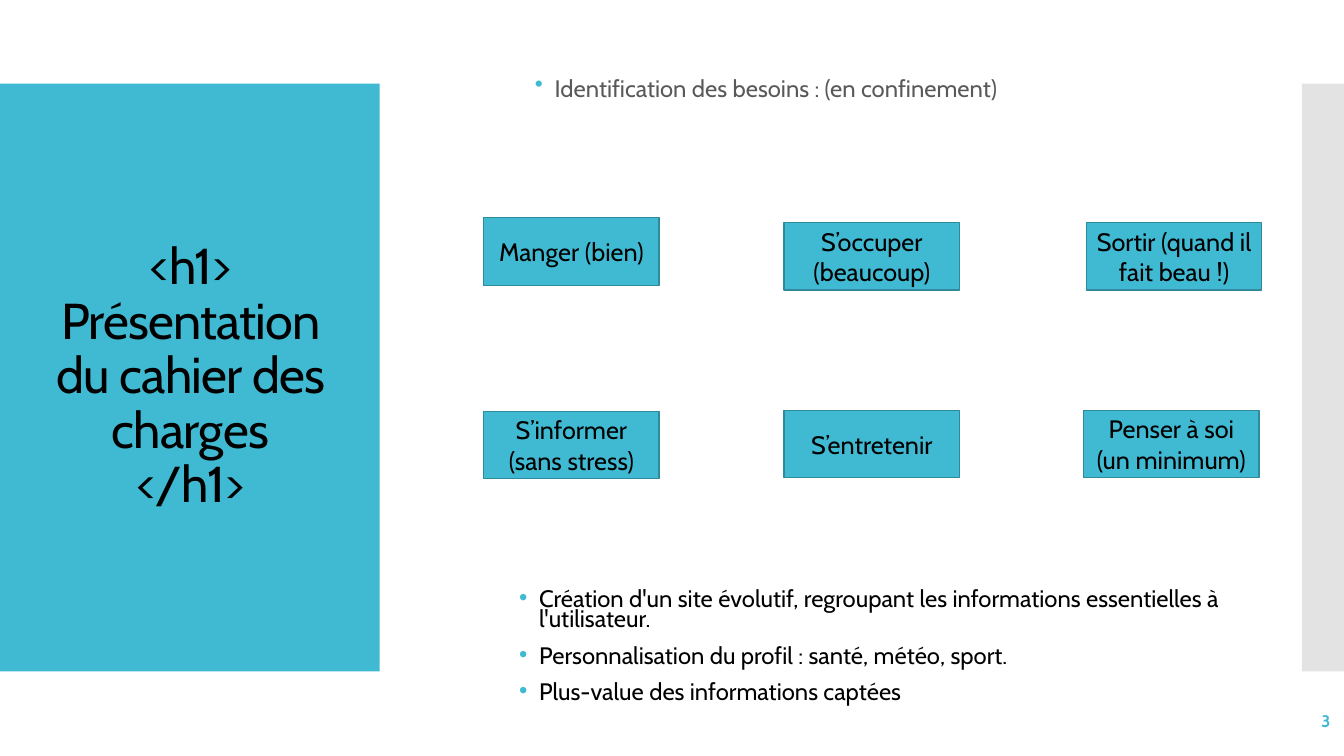
from lxml import etree
from pptx import Presentation
from pptx.dml.color import RGBColor
from pptx.enum.shapes import MSO_SHAPE
from pptx.enum.text import MSO_ANCHOR, MSO_AUTO_SIZE, PP_ALIGN
from pptx.oxml.ns import qn
from pptx.util import Cm, Pt

RECTANGLE = MSO_SHAPE.RECTANGLE
MIDDLE = MSO_ANCHOR.MIDDLE
NO_AUTOFIT = MSO_AUTO_SIZE.NONE
CENTER, LEFT, RIGHT = PP_ALIGN.CENTER, PP_ALIGN.LEFT, PP_ALIGN.RIGHT

FONT = "Cabin"
TEAL, TEAL_DARK = "40BAD2", "2F8A9B"
BLACK, GREY, SILVER = "000000", "595959", "C8C8C8"

NEED_WIDTH, NEED_HEIGHT = 4.42, 1.7
NEEDS = [
    ("Manger (bien)", 12.19, 5.49),
    ("S’occuper (beaucoup)", 19.76, 5.61),
    ("Sortir (quand il fait beau !)", 27.38, 5.61),
    ("S’informer (sans stress)", 12.19, 10.36),
    ("S’entretenir", 19.76, 10.34),
    ("Penser à soi (un minimum)", 27.31, 10.34),
]
GOALS = [
    "Création d'un site évolutif, regroupant les informations essentielles à l'utilisateur.",
    "Personnalisation du profil : santé, météo, sport.",
    "Plus-value des informations captées",
]


def rgb(color):
    return RGBColor.from_string(color)


def place(shape, left, top, width, height):
    shape.left, shape.top = Cm(left), Cm(top)
    shape.width, shape.height = Cm(width), Cm(height)


def set_frame(frame):
    frame.word_wrap = True
    frame.auto_size = NO_AUTOFIT
    frame.vertical_anchor = MIDDLE


def style_runs(paragraph, size, color):
    for run in paragraph.runs:
        run.font.name = FONT
        run.font.size = Pt(size)
        run.font.color.rgb = rgb(color)


def add_block(slide, left, top, width, height, fill):
    block = slide.shapes.add_shape(RECTANGLE, Cm(left), Cm(top), Cm(width), Cm(height))
    block.shadow.inherit = False
    block.fill.solid()
    block.fill.fore_color.rgb = rgb(fill)
    block.line.fill.background()
    return block


def add_side_panels(slide, top, height):
    add_block(slide, 0, top, 9.57, height, TEAL)
    strip = add_block(slide, 32.81, top, 1.06, height, SILVER)
    fill_color = strip.fill._xPr.find(qn("a:solidFill"))[0]
    etree.SubElement(fill_color, qn("a:alpha"), val="50000")


def fill_title(slide, left, top, width, height):
    title = slide.shapes.title
    slide.shapes._spTree.append(title._element)  # in front of the panel
    place(title, left, top, width, height)
    set_frame(title.text_frame)
    paragraph = title.text_frame.paragraphs[0]
    paragraph.text = "<h1> Présentation du cahier des charges\v</h1>"
    paragraph.alignment = CENTER
    paragraph.line_spacing = 0.9
    style_runs(paragraph, 36, BLACK)
    for run in paragraph.runs:
        run._r.get_or_add_rPr().set("spc", "-60")


def add_need(slide, label, left, top):
    need = add_block(slide, left, top, NEED_WIDTH, NEED_HEIGHT, TEAL)
    need.line.color.rgb = rgb(TEAL_DARK)
    need.line.width = Pt(0.85)
    frame = need.text_frame
    set_frame(frame)
    frame.margin_left = frame.margin_right = Cm(0.22)
    paragraph = frame.paragraphs[0]
    paragraph.text = label
    paragraph.alignment = CENTER
    style_runs(paragraph, 18, BLACK)


def fill_bullets(frame, items, color):
    set_frame(frame)
    frame.margin_top = Cm(0.56)
    for index, item in enumerate(items):
        paragraph = frame.add_paragraph() if index else frame.paragraphs[0]
        paragraph.text = item
        properties = paragraph._p.get_or_add_pPr()
        properties.set("marL", str(Cm(0.5)))
        properties.set("indent", str(-Cm(0.5)))
        bullet_color = etree.SubElement(properties, qn("a:buClr"))
        etree.SubElement(bullet_color, qn("a:srgbClr"), val=TEAL)
        etree.SubElement(properties, qn("a:buChar"), char="•")
        paragraph.alignment = LEFT
        paragraph.line_spacing = 0.7
        paragraph.space_before = Pt(12 if index else 0)
        style_runs(paragraph, 17, color)


def add_heading(slide, left, top, width, height):
    heading = slide.shapes.add_textbox(Cm(left), Cm(top), Cm(width), Cm(height))
    fill_bullets(heading.text_frame, ["Identification des besoins : (en confinement)"], GREY)


def fill_goals(slide, left, top, width, height):
    goals = slide.placeholders[1]
    slide.shapes._spTree.append(goals._element)
    place(goals, left, top, width, height)
    fill_bullets(goals.text_frame, GOALS, BLACK)


def add_page_number(slide, left, top, width, height):
    number = slide.shapes.add_textbox(Cm(left), Cm(top), Cm(width), Cm(height))
    set_frame(number.text_frame)
    paragraph = number.text_frame.paragraphs[0]
    paragraph.text = "3"
    paragraph.alignment = RIGHT
    style_runs(paragraph, 12, TEAL)
    paragraph.runs[0].font.bold = True


def main():
    presentation = Presentation()
    presentation.slide_width, presentation.slide_height = Cm(33.87), Cm(19.05)
    slide = presentation.slides.add_slide(presentation.slide_layouts[1])
    add_side_panels(slide, 2.11, 14.81)
    fill_title(slide, 0.71, 3.12, 8.18, 12.78)
    add_page_number(slide, 29.54, 17.65, 4.24, 1.02)
    for label, left, top in NEEDS:
        add_need(slide, label, left, top)
    fill_goals(slide, 12.83, 13.56, 18.49, 5.11)
    add_heading(slide, 13.23, 1.22, 18.49, 1.73)
    presentation.save("out.pptx")


if __name__ == "__main__":
    main()
